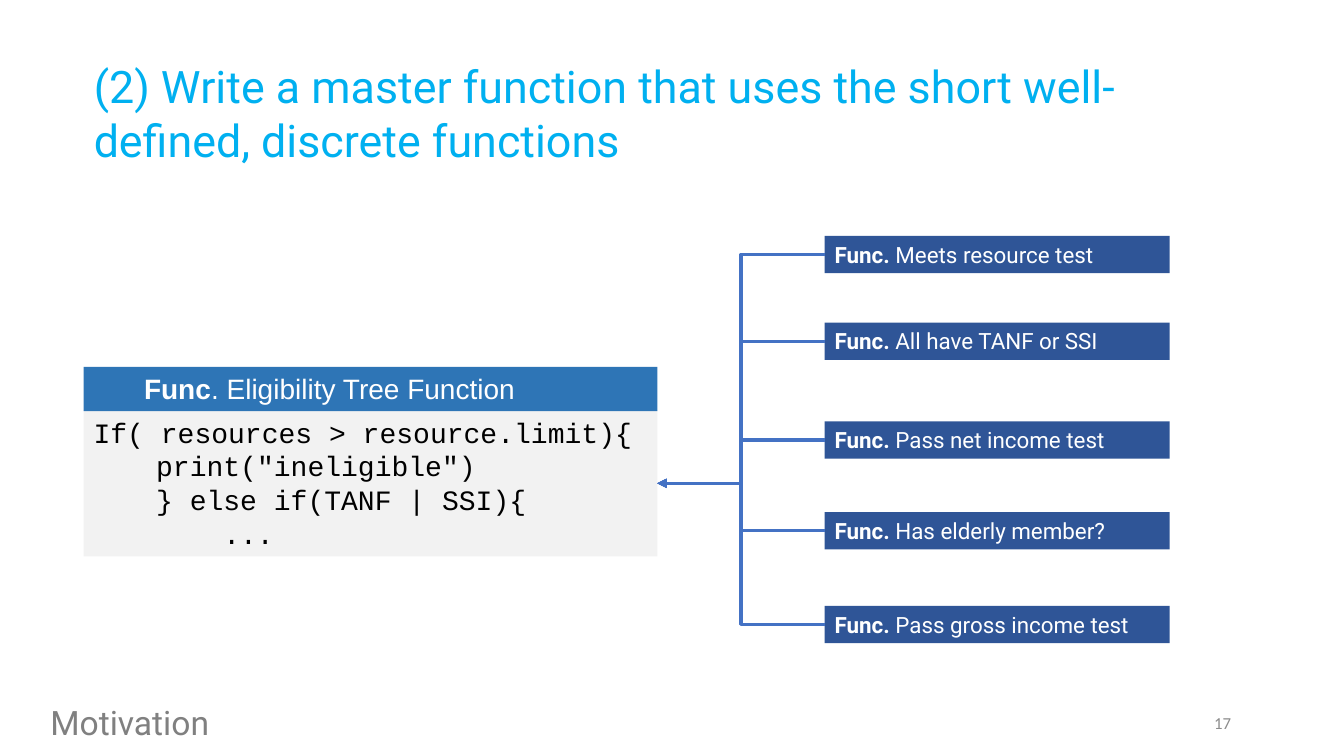
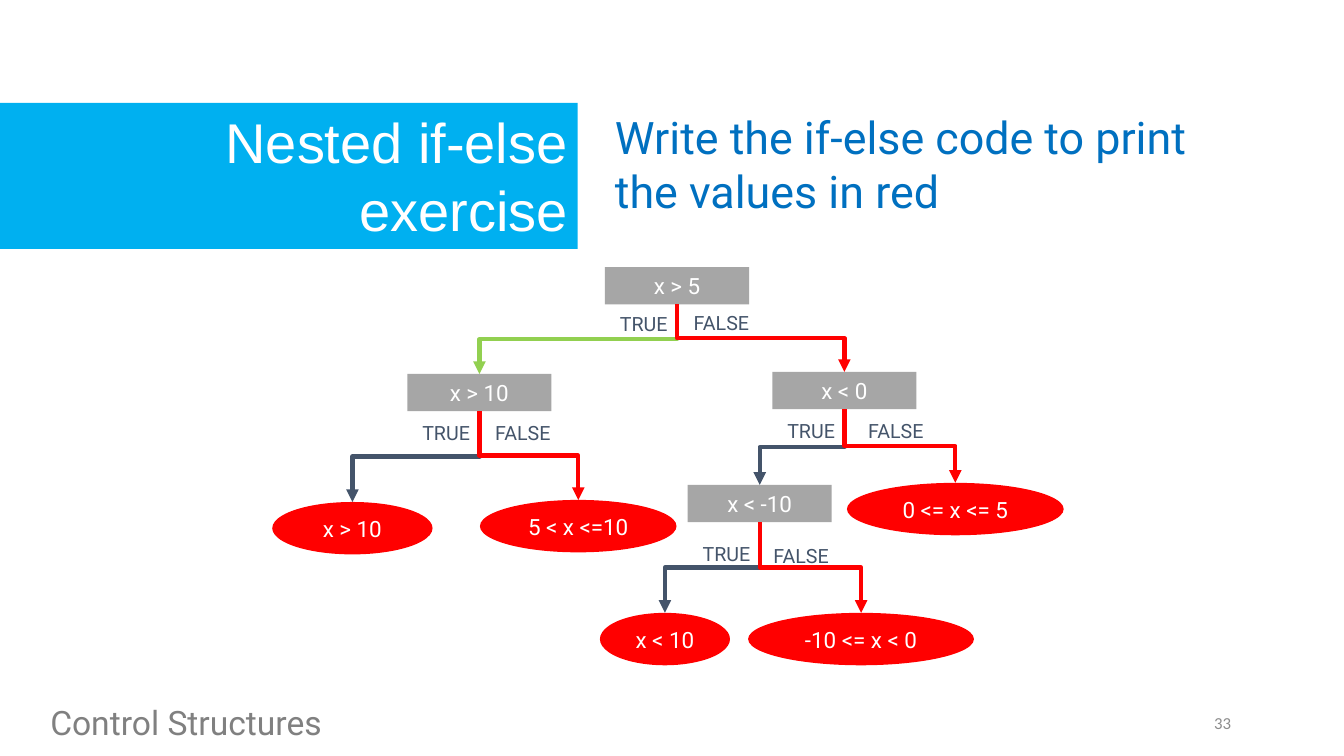
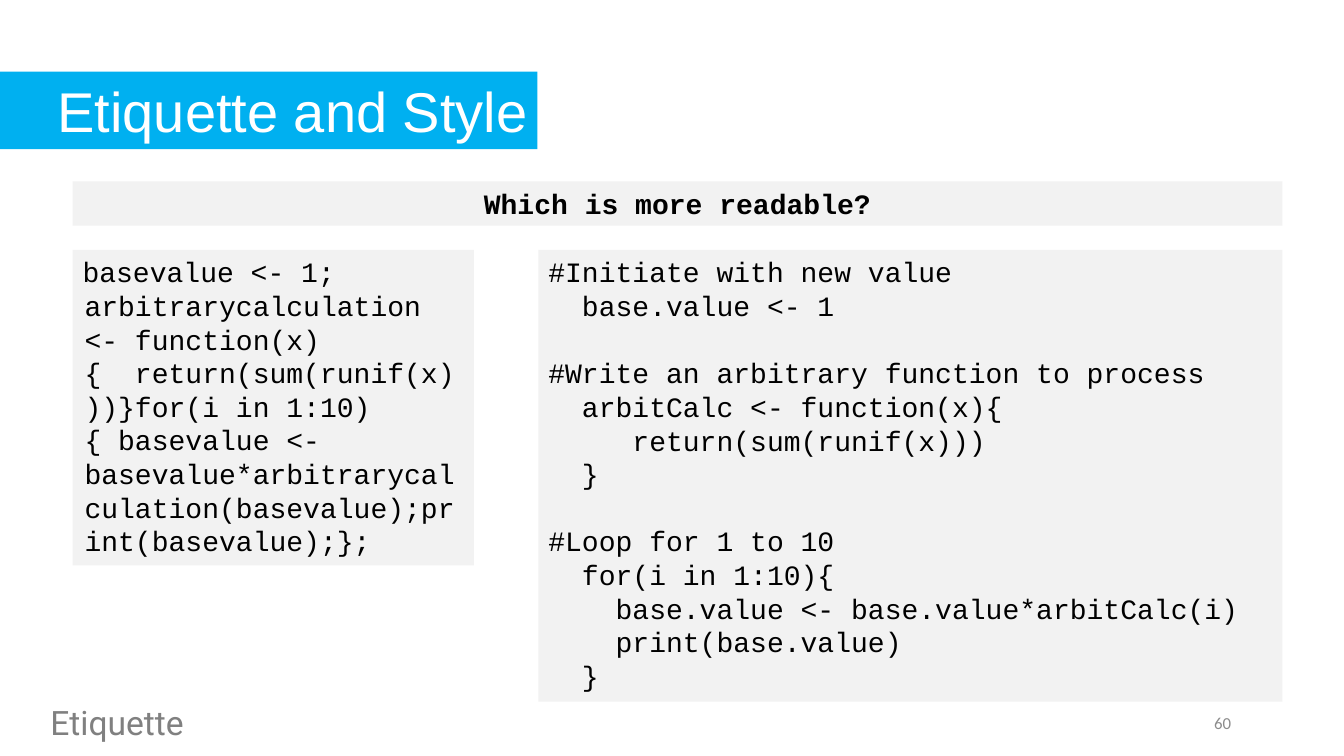
from lxml.etree import SubElement
from pptx import Presentation
from pptx.dml.color import RGBColor
from pptx.enum.shapes import MSO_CONNECTOR, MSO_SHAPE
from pptx.enum.text import MSO_ANCHOR, MSO_AUTO_SIZE, PP_ALIGN
from pptx.oxml.ns import qn
from pptx.util import Inches, Pt

WHITE = RGBColor(0xFF, 0xFF, 0xFF)
BLACK = RGBColor(0x00, 0x00, 0x00)
SKY = RGBColor(0x00, 0xB0, 0xF0)
BLUE = RGBColor(0x00, 0x70, 0xC0)
HEADER_BLUE = RGBColor(0x2E, 0x75, 0xB6)
NAVY = RGBColor(0x2F, 0x55, 0x97)
LINK_BLUE = RGBColor(0x44, 0x72, 0xC4)
SLATE = RGBColor(0x44, 0x54, 0x6A)
RED = RGBColor(0xFF, 0x00, 0x00)
GREEN = RGBColor(0x92, 0xD0, 0x50)
TEST_GRAY = RGBColor(0xA6, 0xA6, 0xA6)
PANEL_GRAY = RGBColor(0xF2, 0xF2, 0xF2)
SECTION_GRAY = RGBColor(0x80, 0x80, 0x80)
NUMBER_GRAY = RGBColor(0x8C, 0x8C, 0x8C)

BOX_HEIGHT = 0.37
TEST_WIDTH = 1.43
OVAL_HEIGHT = 0.52
LABEL_WIDTH = 0.85


def text_style(name, size, color, bold=False):
    return {"font": {"name": name, "size": Pt(size), "bold": bold}, "color": color}


HEADING = text_style("Roboto", 32, SKY)
PROMPT = text_style("Roboto", 32, BLUE)
BAND = text_style("Arial", 40, WHITE)
SECTION = text_style("Roboto", 24, SECTION_GRAY)
NUMBER = text_style("Calibri", 12, NUMBER_GRAY)
CODE = text_style("Courier New", 20, BLACK)
QUESTION = text_style("Courier New", 20, BLACK, True)
CODE_HEADER = text_style("Arial", 20, WHITE)
BOX = text_style("Roboto", 16, WHITE)
LABEL = text_style("Roboto", 14, SLATE)


def set_all(target, values):
    for name, value in values.items():
        setattr(target, name, value)


class Deck:
    def __init__(self):
        self.presentation = Presentation()
        set_all(self.presentation,
                {"slide_width": Inches(13.33), "slide_height": Inches(7.5)})
        self.slide = None

    def start(self, section, number):
        self.slide = self.presentation.slides.add_slide(
            self.presentation.slide_layouts[5])
        self.text((9.31, 6.97, 3, 0.4), [str(number)], NUMBER,
                  align=PP_ALIGN.RIGHT, anchor=MSO_ANCHOR.MIDDLE)
        self.text((0.4, 6.91, 9.79, 0.5), [section], SECTION)

    def put_text(self, shape, paragraphs, style, align=PP_ALIGN.LEFT,
                 anchor=MSO_ANCHOR.TOP, margin=0, hanging=0, spaced=()):
        frame = shape.text_frame
        set_all(frame, {"word_wrap": True, "auto_size": MSO_AUTO_SIZE.NONE,
                        "vertical_anchor": anchor})
        pitch = Pt(style["font"]["size"].pt * 1.2)
        for index, content in enumerate(paragraphs):
            paragraph = frame.add_paragraph() if index else frame.paragraphs[0]
            set_all(paragraph, {"alignment": align, "line_spacing": pitch,
                                "space_before": pitch if content in spaced else Pt(0)})
            properties = paragraph._p.get_or_add_pPr()
            properties.set("marL", str(Inches(margin)))
            properties.set("indent", str(-Inches(hanging)))
            bold_part, plain_part = content if isinstance(content, tuple) else ("", content)
            for words, emphasis in ((bold_part, {"bold": True}), (plain_part, {})):
                if words:
                    run = paragraph.add_run()
                    run.text = words
                    set_all(run.font, {**style["font"], **emphasis})
                    run.font.color.rgb = style["color"]

    def title(self, place, paragraphs, style, fill=None, align=PP_ALIGN.LEFT):
        heading = self.slide.shapes.title
        set_all(heading, dict(zip(("left", "top", "width", "height"),
                                  map(Inches, place))))
        if fill is not None:
            heading.fill.solid()
            heading.fill.fore_color.rgb = fill
        self.put_text(heading, paragraphs, style, align)

    def band(self, top, width, height, paragraphs):
        self.title((0, top, width, height), paragraphs, BAND, SKY, PP_ALIGN.RIGHT)

    def text(self, place, paragraphs, style, **layout):
        self.put_text(self.slide.shapes.add_textbox(*map(Inches, place)),
                      paragraphs, style, **layout)

    def panel(self, place, paragraphs, style, fill, kind=MSO_SHAPE.RECTANGLE, **layout):
        shape = self.slide.shapes.add_shape(kind, *map(Inches, place))
        shape.shadow.inherit = False
        shape.fill.solid()
        shape.fill.fore_color.rgb = fill
        shape.line.fill.background()
        self.put_text(shape, paragraphs, style, **layout)
        return shape

    def code(self, place, lines, spaced=(), margin=0.02):
        return self.panel(place, lines, CODE, PANEL_GRAY,
                          margin=margin, hanging=margin, spaced=spaced)

    def test(self, left, top, words):
        return self.panel((left, top, TEST_WIDTH, BOX_HEIGHT), [words], BOX,
                          TEST_GRAY, align=PP_ALIGN.CENTER)

    def outcome(self, left, top, width, words):
        return self.panel((left, top, width, OVAL_HEIGHT), [words], BOX, RED,
                          MSO_SHAPE.OVAL, align=PP_ALIGN.CENTER,
                          anchor=MSO_ANCHOR.BOTTOM)

    def elbow(self, ends, color, width):
        arrow = self.slide.shapes.add_connector(MSO_CONNECTOR.ELBOW, *map(int, ends))
        arrow.line.width = Pt(width)
        arrow.line.color.rgb = color
        properties = arrow._element.spPr
        SubElement(properties.find(qn("a:ln")), qn("a:tailEnd"), type="triangle")
        SubElement(properties, qn("a:effectLst"))
        return arrow

    def feed(self, source, target):
        arrow = self.elbow((source.left, source.top + source.height / 2,
                            target.left + target.width,
                            target.top + target.height / 2), LINK_BLUE, 2.25)
        arrow.begin_connect(source, 1)
        arrow.end_connect(target, 3)

    def branch(self, parent, child, color):
        start_x = parent.left + parent.width / 2
        start_y = parent.top + parent.height
        end_x = child.left + child.width / 2
        center_x, center_y = (start_x + end_x) / 2, (start_y + child.top) / 2
        half_drop = (child.top - start_y) / 2
        half_run = abs(end_x - start_x) / 2
        side = 1 if end_x > start_x else -1
        arrow = self.elbow((center_x + side * half_drop, center_y - half_run,
                            center_x - side * half_drop, center_y + half_run), color, 3)
        degrees = 270 if side > 0 else 90
        arrow._element.spPr.find(qn("a:xfrm")).set("rot", str(degrees * 60000))

    def branch_label(self, parent, words, offset, drop):
        center = (parent.left + parent.width / 2) / Inches(1) + offset
        top = (parent.top + parent.height) / Inches(1) + drop
        self.text((center - LABEL_WIDTH / 2, top, LABEL_WIDTH, 0.34), [words],
                  LABEL, align=PP_ALIGN.CENTER)


def master_function(deck):
    deck.start("Motivation", 17)
    deck.title((0.83, 0.53, 10.76, 1.18),
               ["(2) Write a master function that uses the short well-defined, "
                "discrete functions"], HEADING)
    tree_code = deck.code((0.83, 4.07, 5.69, 1.45),
                          ["If( resources > resource.limit){",
                           "\tprint(\"ineligible\")",
                           "\t} else if(TANF | SSI){",
                           "\t\t ..."], margin=0.62)
    deck.panel((0.83, 3.64, 5.69, 0.44), [("Func", ". Eligibility Tree Function")],
               CODE_HEADER, HEADER_BLUE, margin=0.5)
    helpers = [(2.34, "Meets resource test"), (3.2, "All have TANF or SSI"),
               (4.18, "Pass net income test"), (5.08, "Has elderly member?"),
               (6.01, "Pass gross income test")]
    for top, task in helpers:
        helper = deck.panel((8.18, top, 3.42, BOX_HEIGHT), [("Func. ", task)], BOX, NAVY)
        deck.feed(helper, tree_code)


def nested_exercise(deck):
    deck.start("Control Structures", 33)
    deck.band(1.02, 5.73, 1.45, ["Nested if-else", "exercise"])
    deck.text((6, 1.04, 5.89, 1.18),
              ["Write the if-else code to print the values in red"], PROMPT)
    above_five = deck.test(6, 2.65, "x > 5")
    above_ten = deck.test(4.04, 3.71, "x > 10")
    negative = deck.test(7.66, 3.69, "x < 0")
    below_minus_ten = deck.test(6.82, 4.81, "x < -10")
    over_ten = deck.outcome(2.7, 4.98, 1.59, "x > 10")
    five_to_ten = deck.outcome(4.76, 4.96, 1.95, "5 < x <=10")
    zero_to_five = deck.outcome(8.4, 4.79, 2.15, "0 <= x <= 5")
    under_ten = deck.outcome(5.95, 6.08, 1.29, "x < 10")
    minus_ten_to_zero = deck.outcome(7.42, 6.08, 2.24, "-10 <= x < 0")
    splits = [
        (above_five, above_ten, negative, GREEN, 0.03, 0.44, 0.02),
        (negative, below_minus_ten, zero_to_five, SLATE, 0.05, 0.51, 0.05),
        (above_ten, over_ten, five_to_ten, SLATE, 0.05, 0.43, 0.05),
        (below_minus_ten, under_ten, minus_ten_to_zero, SLATE, 0.15, 0.41, 0.17),
    ]
    for parent, if_true, if_false, true_color, true_drop, false_offset, false_drop in splits:
        deck.branch(parent, if_true, true_color)
        deck.branch(parent, if_false, RED)
        deck.branch_label(parent, "TRUE", -0.33, true_drop)
        deck.branch_label(parent, "FALSE", false_offset, false_drop)


def etiquette(deck):
    deck.start("Etiquette", 60)
    deck.band(0.71, 5.33, 0.77, ["Etiquette and Style"])
    deck.panel((0.72, 1.8, 12, 0.44), ["Which is more readable?"], QUESTION,
               PANEL_GRAY, align=PP_ALIGN.CENTER)
    deck.code((0.72, 2.48, 3.98, 3.13),
              ["basevalue <- 1; arbitrarycalculation <- function(x)"
               "{  return(sum(runif(x)))}for(i in 1:10)"
               "{ basevalue <- basevalue*arbitrarycalculation(basevalue);"
               "print(basevalue);};"])
    process_note = "#Write an arbitrary function to process"
    loop_note = "#Loop for 1 to 10"
    deck.code((5.34, 2.48, 7.38, 4.48),
              ["#Initiate with new value",
               "  base.value <- 1",
               process_note,
               "  arbitCalc <- function(x){",
               "     return(sum(runif(x)))",
               "  }",
               loop_note,
               "  for(i in 1:10){",
               "    base.value <- base.value*arbitCalc(i)",
               "    print(base.value)",
               "  }"], spaced=(process_note, loop_note))


def main():
    deck = Deck()
    for build in (master_function, nested_exercise, etiquette):
        build(deck)
    deck.presentation.save("out.pptx")


if __name__ == "__main__":
    main()
